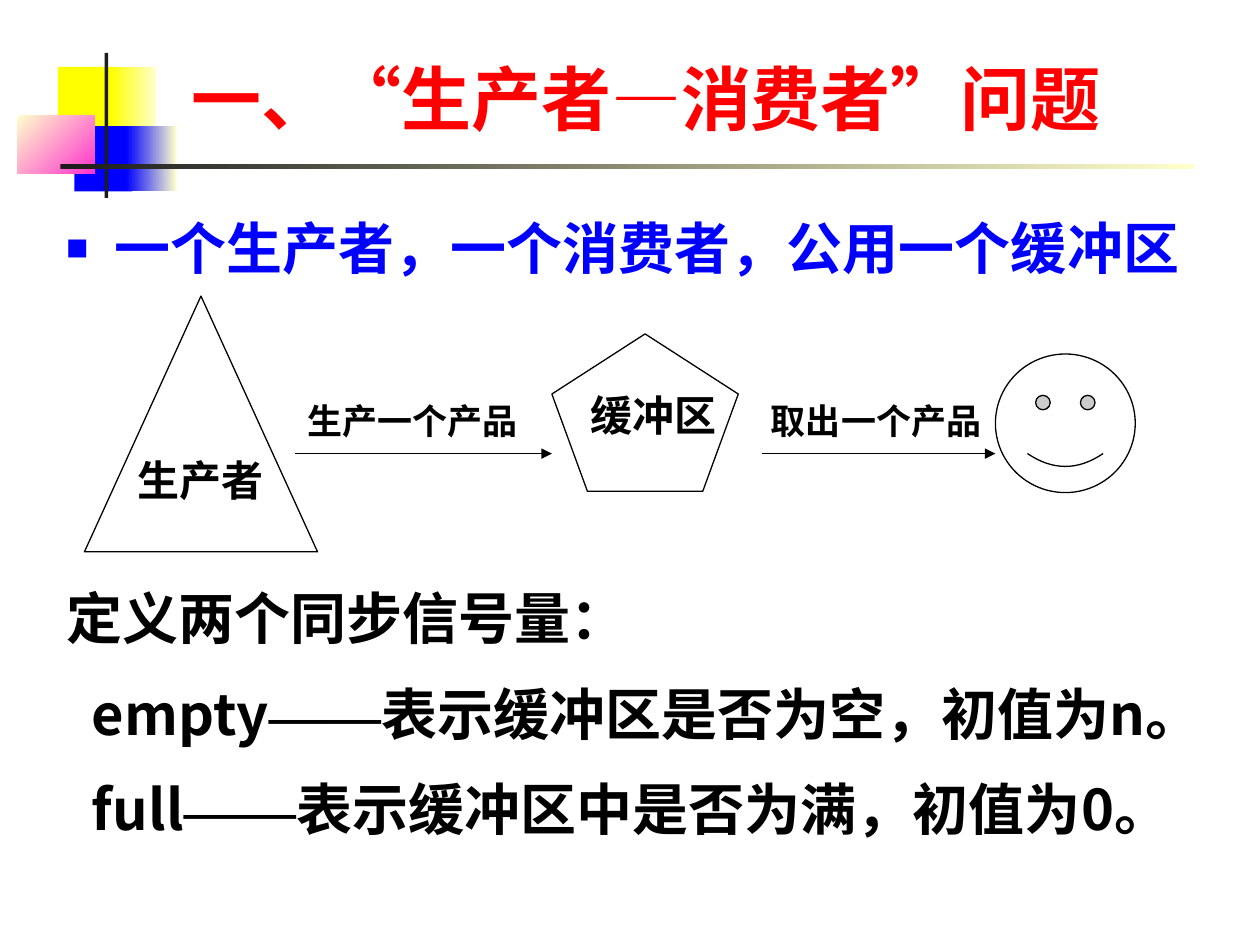
from lxml.etree import SubElement
from pptx import Presentation
from pptx.dml.color import RGBColor
from pptx.enum.shapes import MSO_CONNECTOR, MSO_SHAPE as Preset
from pptx.enum.text import MSO_ANCHOR as Anchor, MSO_AUTO_SIZE as AutoSize, PP_ALIGN as Align
from pptx.oxml.ns import qn
from pptx.util import Inches, Pt

BLACK = RGBColor(0x00, 0x00, 0x00)
WHITE = RGBColor(0xFF, 0xFF, 0xFF)
RED = RGBColor(0xFF, 0x00, 0x00)
BLUE = RGBColor(0x00, 0x00, 0xFF)
YELLOW = RGBColor(0xFF, 0xFF, 0x00)
CREAM = RGBColor(0xFF, 0xFF, 0xCC)
PINK = RGBColor(0xFF, 0x33, 0xCC)
CHARCOAL = RGBColor(0x1C, 0x1C, 0x1C)

CJK = "Noto Sans CJK SC"
SERIF = "Times New Roman"
LABEL = "Cabin"


def place(shape, box):
    for name, value in zip(("left", "top", "width", "height"), box):
        setattr(shape, name, Inches(value))


def add_run(paragraph, text, size, color, latin=CJK, asian=CJK):
    run = paragraph.add_run()
    run.text = text
    font_format = {"size": Pt(size), "bold": True, "name": latin}
    for name, value in font_format.items():
        setattr(run.font, name, value)
    run.font.color.rgb = color
    SubElement(run.font._element, qn("a:ea"), typeface=asian)


def format_frame(frame, anchor=Anchor.TOP, wrap=True, auto_size=AutoSize.NONE):
    frame_format = {"vertical_anchor": anchor, "word_wrap": wrap, "auto_size": auto_size}
    for name, value in frame_format.items():
        setattr(frame, name, value)


def set_bullet(paragraph, indent, color=None):
    """Set a hanging indent, with a square bullet if a colour is given."""
    props = paragraph._p.get_or_add_pPr()
    props.set("marL", str(Inches(0.38)))
    props.set("indent", str(Inches(indent)))
    if color is None:
        SubElement(props, qn("a:buNone"))
        return
    bullet_color = SubElement(props, qn("a:buClr"))
    SubElement(bullet_color, qn("a:srgbClr"), val=str(color))
    SubElement(props, qn("a:buSzPct"), val="40000")
    SubElement(props, qn("a:buFont"), typeface=CJK)
    SubElement(props, qn("a:buChar"), char="■")


def add_block(slide, box, colors, angle=0):
    """Add a borderless rectangle, in a gradient if two colours are given."""
    block = slide.shapes.add_shape(Preset.RECTANGLE, *map(Inches, box))
    block.shadow.inherit = False
    block.line.fill.background()
    if len(colors) == 1:
        block.fill.solid()
        block.fill.fore_color.rgb = colors[0]
        return block
    block.fill.gradient()
    block.fill.gradient_angle = angle
    for stop, color in zip(block.fill.gradient_stops, colors):
        stop.color.rgb = color
    return block


def add_figure(slide, preset, box):
    figure = slide.shapes.add_shape(preset, *map(Inches, box))
    figure.shadow.inherit = False
    figure.fill.solid()
    figure.fill.fore_color.rgb = WHITE
    figure.line.color.rgb = BLACK
    figure.line.width = Pt(0.75)


def add_arrow(slide, start, end, y):
    arrow = slide.shapes.add_connector(
        MSO_CONNECTOR.STRAIGHT, *map(Inches, (start, y, end, y)))
    arrow.line.color.rgb = BLACK
    arrow.line.width = Pt(0.75)
    SubElement(arrow.line._get_or_add_ln(), qn("a:tailEnd"), type="triangle")
    SubElement(arrow._element.spPr, qn("a:effectLst"))


def add_text_box(slide, box):
    return slide.shapes.add_textbox(*map(Inches, box))


def write_label(label, text, size, latin, align=None, **frame_format):
    format_frame(label.text_frame, **frame_format)
    paragraph = label.text_frame.paragraphs[0]
    paragraph.alignment = align
    add_run(paragraph, text, size, BLACK, latin)


def add_decoration(slide):
    add_block(slide, (0.46, 0.53, 0.48, 0.52), [YELLOW])
    add_block(slide, (0.88, 0.53, 0.36, 0.52), [YELLOW, CREAM])
    add_block(slide, (0.59, 1, 0.46, 0.52), [BLUE])
    add_block(slide, (1, 1, 0.4, 0.52), [BLUE, CREAM])
    add_block(slide, (0.14, 0.92, 0.61, 0.46), [CREAM, PINK], angle=315)
    add_block(slide, (0.83, 0.42, 0.03, 1.15), [CHARCOAL])
    add_block(slide, (0.48, 1.3, 9, 0.04), [CHARCOAL, CREAM])


def fill_title(title):
    place(title, (1.42, 0.36, 7.84, 0.8))
    format_frame(title.text_frame, anchor=Anchor.BOTTOM)
    heading = title.text_frame.paragraphs[0]
    heading.alignment = Align.LEFT
    add_run(heading, "一、“生产者—消费者”问题", 40, RED)


def fill_body(body):
    place(body, (0.43, 1.54, 9.37, 5.59))
    frame = body.text_frame
    format_frame(frame)
    diagram_gap = 165
    # runs, colour, space before, first-line indent, bullet colour
    items = [
        ([("一个生产者，一个消费者，公用一个缓冲区", CJK)], BLUE, 8, -0.38, BLUE),
        ([("定义两个同步信号量：", CJK)], BLACK, diagram_gap, -0.38, None),
        ([("empty", CJK), ("——", SERIF), ("表示缓冲区是否为空，初值为n。", CJK)],
         BLACK, 9, -0.18, None),
        ([("full", CJK), ("——", SERIF), ("表示缓冲区中是否为满，初值为0。", CJK)],
         BLACK, 8, -0.18, None),
    ]
    for index, (runs, color, space, indent, bullet) in enumerate(items):
        paragraph = frame.add_paragraph() if index else frame.paragraphs[0]
        paragraph.line_spacing = 1.2
        paragraph.space_before = Pt(space)
        set_bullet(paragraph, indent, bullet)
        for text, font in runs:
            add_run(paragraph, text, 32, color, font, font)


def add_diagram(slide):
    add_figure(slide, Preset.ISOSCELES_TRIANGLE, (0.67, 2.35, 1.85, 2.03))
    add_figure(slide, Preset.REGULAR_PENTAGON, (4.38, 2.65, 1.48, 1.25))
    add_figure(slide, Preset.SMILEY_FACE, (7.9, 2.81, 1.11, 1.1))
    for start, end in ((2.34, 4.38), (6.05, 7.9)):
        add_arrow(slide, start, end, 3.6)
    produce = add_block(slide, (2.34, 3.12, 1.95, 0.47), [WHITE])
    consume = add_text_box(slide, (6.02, 3.12, 2.05, 0.47))
    for label, text in ((produce, "生产一个产品"), (consume, "取出一个产品")):
        write_label(label, text, 20, SERIF, Align.JUSTIFY)
    for text, left, top in (("生产者", 0.99, 3.56), ("缓冲区", 4.59, 3.04)):
        write_label(add_text_box(slide, (left, top, 1.2, 0.5)), text, 24, LABEL,
                    wrap=False, auto_size=AutoSize.SHAPE_TO_FIT_TEXT)


def main():
    deck = Presentation()
    deck.slide_width, deck.slide_height = Inches(10), Inches(7.5)
    slide = deck.slides.add_slide(deck.slide_layouts[1])
    add_decoration(slide)
    fill_title(slide.shapes.title)
    fill_body(slide.placeholders[1])
    add_diagram(slide)
    deck.save("out.pptx")


if __name__ == "__main__":
    main()
